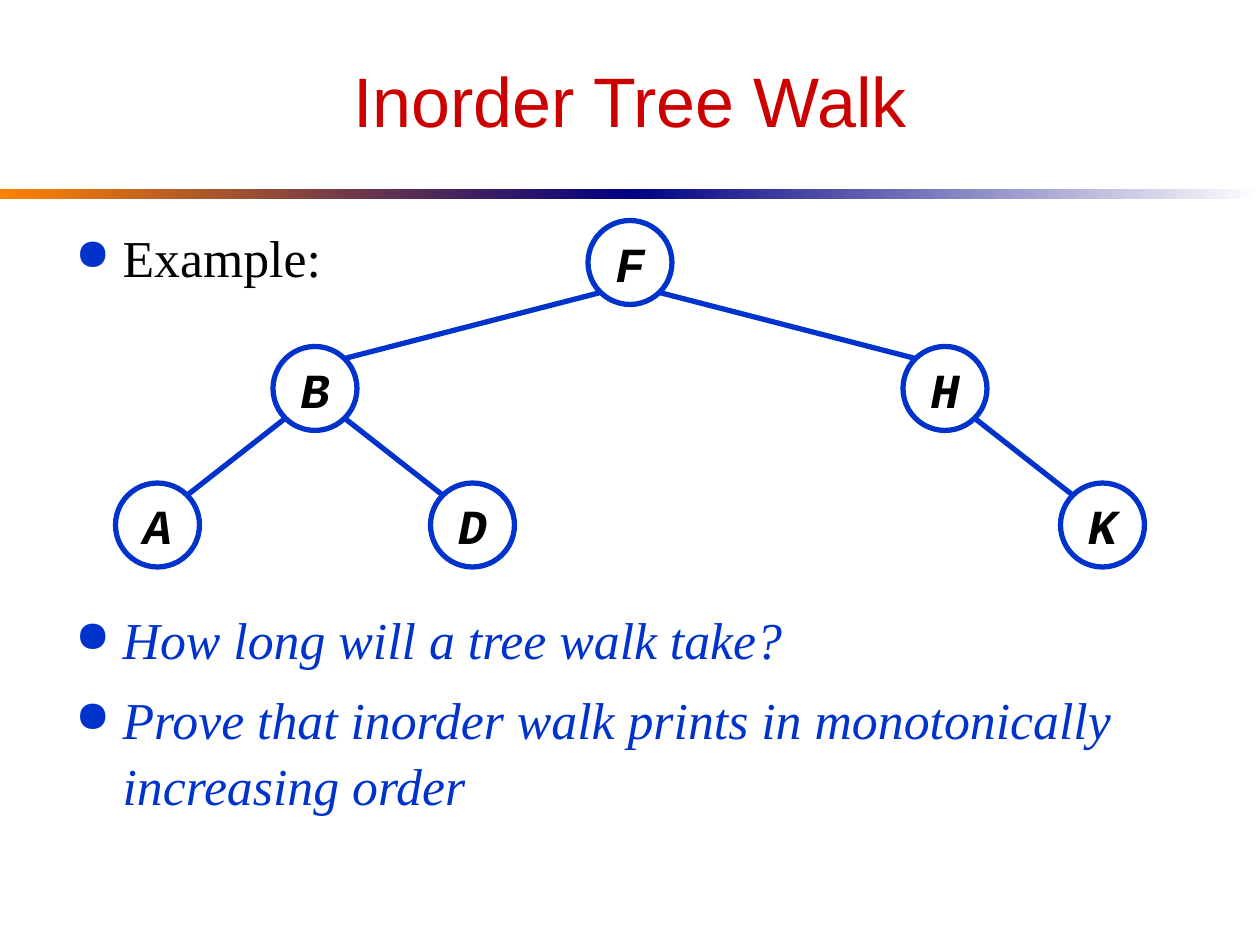
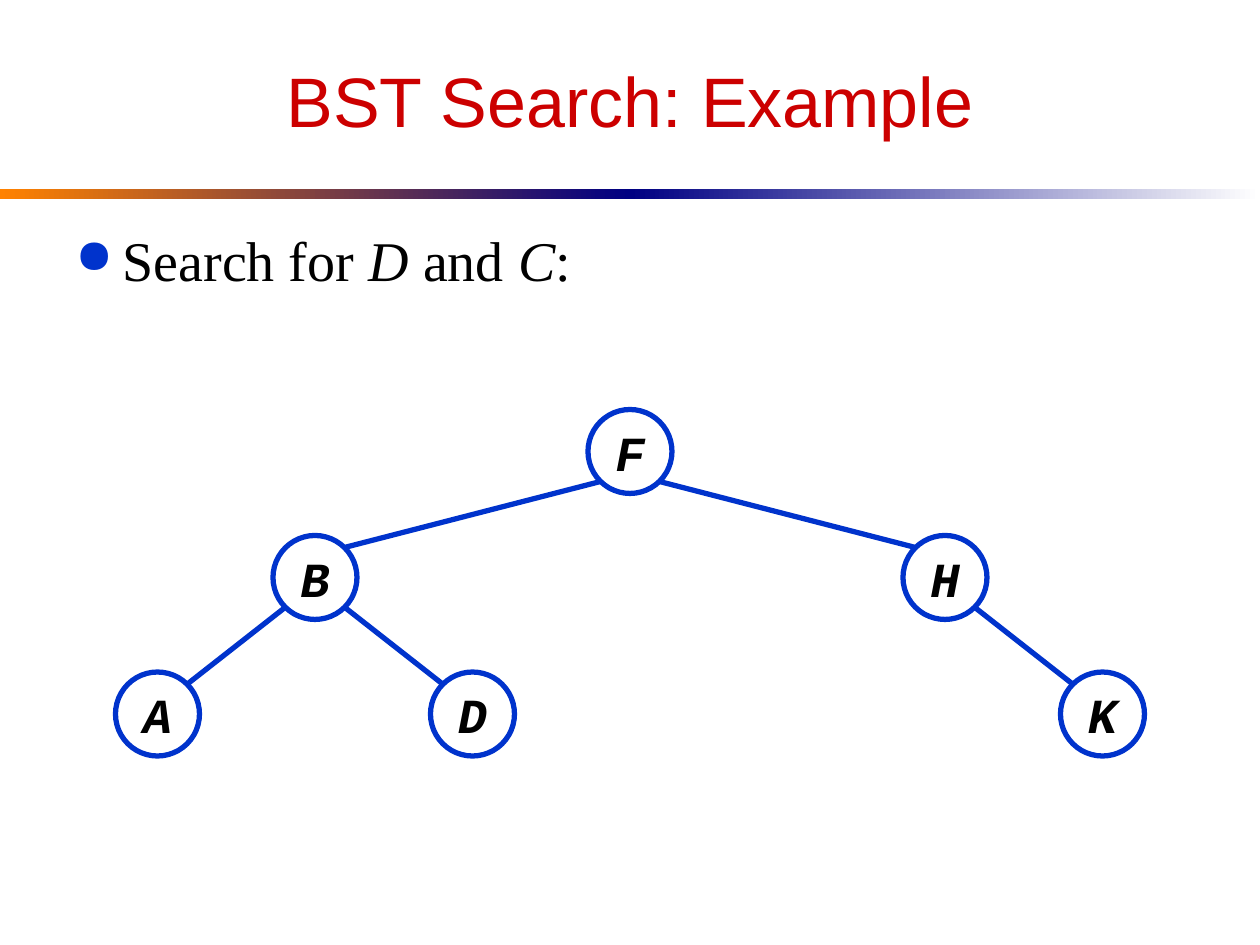
from dataclasses import dataclass
from math import sqrt
from typing import Any

from lxml import etree
from pptx import Presentation
from pptx import util as u
from pptx.dml.color import RGBColor
from pptx.enum import shapes, text
from pptx.oxml.ns import qn

EMU_PER_PX = 9525


@dataclass(frozen=True)
class Theme:
    title: str = "CC0000"
    body: str = "000000"
    accent: str = "0033CC"
    paper: str = "FFFFFF"
    band_start: str = "FF8200"
    band_middle: str = "000082"
    title_font: str = "Arial"
    body_font: str = "Times New Roman"
    node_font: str = "Courier New"
    title_size: float = 40
    body_size: float = 32
    small_body_size: float = 29.6
    node_size: float = 28
    line_width: float = 3
    line_spacing: float = 1.06


@dataclass(frozen=True)
class Box:
    left: int
    top: int
    width: int
    height: int

    def emu(self) -> list[u.Emu]:
        return [px(n) for n in (self.left, self.top, self.width, self.height)]


@dataclass(frozen=True)
class Run:
    words: str
    italic: bool = False


@dataclass(frozen=True)
class Bullet:
    runs: tuple[Run, ...]
    color: str
    space_before: float = 0


@dataclass(frozen=True)
class Node:
    letter: str
    x: int
    depth: int
    parent: str = ""


@dataclass(frozen=True)
class TreeSlide:
    title: str
    bullets: tuple[Bullet, ...]
    body_size: float
    root_y: int


THEME = Theme()
SLIDE = Box(0, 0, 960, 720)
TITLE = Box(48, 24, 864, 104)
BODY = Box(48, 160, 864, 456)
BAND_TOP, BAND_HEIGHT = 144, 8
BODY_INSET_TOP = 9
HANGING_INDENT = 36
RADIUS = 32
DEPTH_OFFSETS = (0, 96, 200)

TREE = (
    Node("F", 480, 0),
    Node("B", 240, 1, "F"),
    Node("H", 720, 1, "F"),
    Node("K", 840, 2, "H"),
    Node("D", 360, 2, "B"),
    Node("A", 120, 2, "B"),
)

SLIDES = (
    TreeSlide(
        "Inorder Tree Walk",
        (
            Bullet((Run("Example:"),), THEME.body),
            Bullet((Run("How long will a tree walk take?", True),), THEME.accent, 181),
            Bullet(
                (Run("Prove that inorder walk prints in monotonically increasing order", True),),
                THEME.accent,
                8,
            ),
        ),
        THEME.small_body_size,
        200,
    ),
    TreeSlide(
        "BST Search: Example",
        (
            Bullet(
                (Run("Search for "), Run("D", True), Run(" and "), Run("C", True), Run(":")),
                THEME.body,
            ),
        ),
        THEME.body_size,
        344,
    ),
)


def px(length: int) -> u.Emu:
    return u.Emu(length * EMU_PER_PX)


def set_values(target: Any, values: dict[str, Any]) -> None:
    for name, value in values.items():
        setattr(target, name, value)


def style_font(font: Any, name: str, size: float, color: str, **more: bool) -> None:
    set_values(font, {"name": name, "size": u.Pt(size), **more})
    font.color.rgb = RGBColor.from_string(color)


def style_line(line: Any) -> None:
    line.color.rgb = RGBColor.from_string(THEME.accent)
    line.width = u.Pt(THEME.line_width)


def add_band(slide: Any) -> None:
    """Draw the two-part gradient rule under the title."""
    half = SLIDE.width // 2
    colors = (THEME.band_start, THEME.band_middle, THEME.paper)
    for index, pair in enumerate(zip(colors, colors[1:])):
        box = Box(index * half, BAND_TOP, half, BAND_HEIGHT)
        shape = slide.shapes.add_shape(shapes.MSO_SHAPE.RECTANGLE, *box.emu())
        shape.shadow.inherit = False
        shape.line.fill.background()
        shape.fill.gradient()
        shape.fill.gradient_angle = 0
        for stop, color in zip(shape.fill.gradient_stops, pair):
            stop.color.rgb = RGBColor.from_string(color)


def add_title(slide: Any, title: str) -> None:
    frame = slide.shapes.add_textbox(*TITLE.emu()).text_frame
    set_values(frame, {"word_wrap": True, "vertical_anchor": text.MSO_ANCHOR.MIDDLE})
    paragraph = frame.paragraphs[0]
    set_values(paragraph, {"text": title, "alignment": text.PP_ALIGN.CENTER})
    style_font(paragraph.runs[0].font, THEME.title_font, THEME.title_size, THEME.title)


def add_bullet_mark(paragraph: Any) -> None:
    properties = paragraph._p.get_or_add_pPr()
    properties.set("marL", str(px(HANGING_INDENT)))
    properties.set("indent", str(px(-HANGING_INDENT)))
    color = etree.SubElement(properties, qn("a:buClr"))
    etree.SubElement(color, qn("a:srgbClr"), val=THEME.accent)
    etree.SubElement(properties, qn("a:buSzPct"), val="85000")
    etree.SubElement(properties, qn("a:buChar"), char="●")


def add_body(slide: Any, bullets: tuple[Bullet, ...], size: float) -> None:
    frame = slide.shapes.add_textbox(*BODY.emu()).text_frame
    set_values(frame, {"word_wrap": True, "margin_top": px(BODY_INSET_TOP)})
    for index, bullet in enumerate(bullets):
        paragraph = frame.add_paragraph() if index else frame.paragraphs[0]
        add_bullet_mark(paragraph)
        paragraph.line_spacing = THEME.line_spacing
        if bullet.space_before:
            paragraph.space_before = u.Pt(bullet.space_before)
        for part in bullet.runs:
            run = paragraph.add_run()
            run.text = part.words
            style_font(run.font, THEME.body_font, size, bullet.color, italic=part.italic)


def add_node(group: Any, node: Node, y: int) -> None:
    box = Box(node.x - RADIUS, y - RADIUS, 2 * RADIUS, 2 * RADIUS)
    shape = group.shapes.add_shape(shapes.MSO_SHAPE.OVAL, *box.emu())
    shape.shadow.inherit = False
    shape.fill.solid()
    shape.fill.fore_color.rgb = RGBColor.from_string(THEME.paper)
    style_line(shape.line)
    frame = shape.text_frame
    set_values(frame, {"word_wrap": False, "vertical_anchor": text.MSO_ANCHOR.MIDDLE})
    paragraph = frame.paragraphs[0]
    set_values(paragraph, {"text": node.letter, "alignment": text.PP_ALIGN.CENTER})
    style_font(paragraph.runs[0].font, THEME.node_font, THEME.node_size, THEME.body,
               bold=True, italic=True)


def add_edge(group: Any, parent: Node, child: Node, root_y: int) -> None:
    """Join the facing diagonal points of two circles."""
    reach = round(RADIUS * sqrt(0.5))
    side = reach if child.x > parent.x else -reach
    ends = (
        parent.x + side,
        root_y + DEPTH_OFFSETS[parent.depth] + reach,
        child.x - side,
        root_y + DEPTH_OFFSETS[child.depth] - reach,
    )
    connector = group.shapes.add_connector(shapes.MSO_CONNECTOR.STRAIGHT, *map(px, ends))
    style_line(connector.line)
    etree.SubElement(connector._element.spPr, qn("a:effectLst"))


def add_tree(slide: Any, root_y: int) -> None:
    group = slide.shapes.add_group_shape()
    nodes = {node.letter: node for node in TREE}
    for node in TREE:
        add_node(group, node, root_y + DEPTH_OFFSETS[node.depth])
    for node in TREE:
        if node.parent:
            add_edge(group, nodes[node.parent], node, root_y)


def main() -> None:
    presentation = Presentation()
    presentation.slide_width = px(SLIDE.width)
    presentation.slide_height = px(SLIDE.height)
    for content in SLIDES:
        slide = presentation.slides.add_slide(presentation.slide_layouts[6])
        add_band(slide)
        add_title(slide, content.title)
        add_body(slide, content.bullets, content.body_size)
        add_tree(slide, content.root_y)
    presentation.save("out.pptx")


if __name__ == "__main__":
    main()
